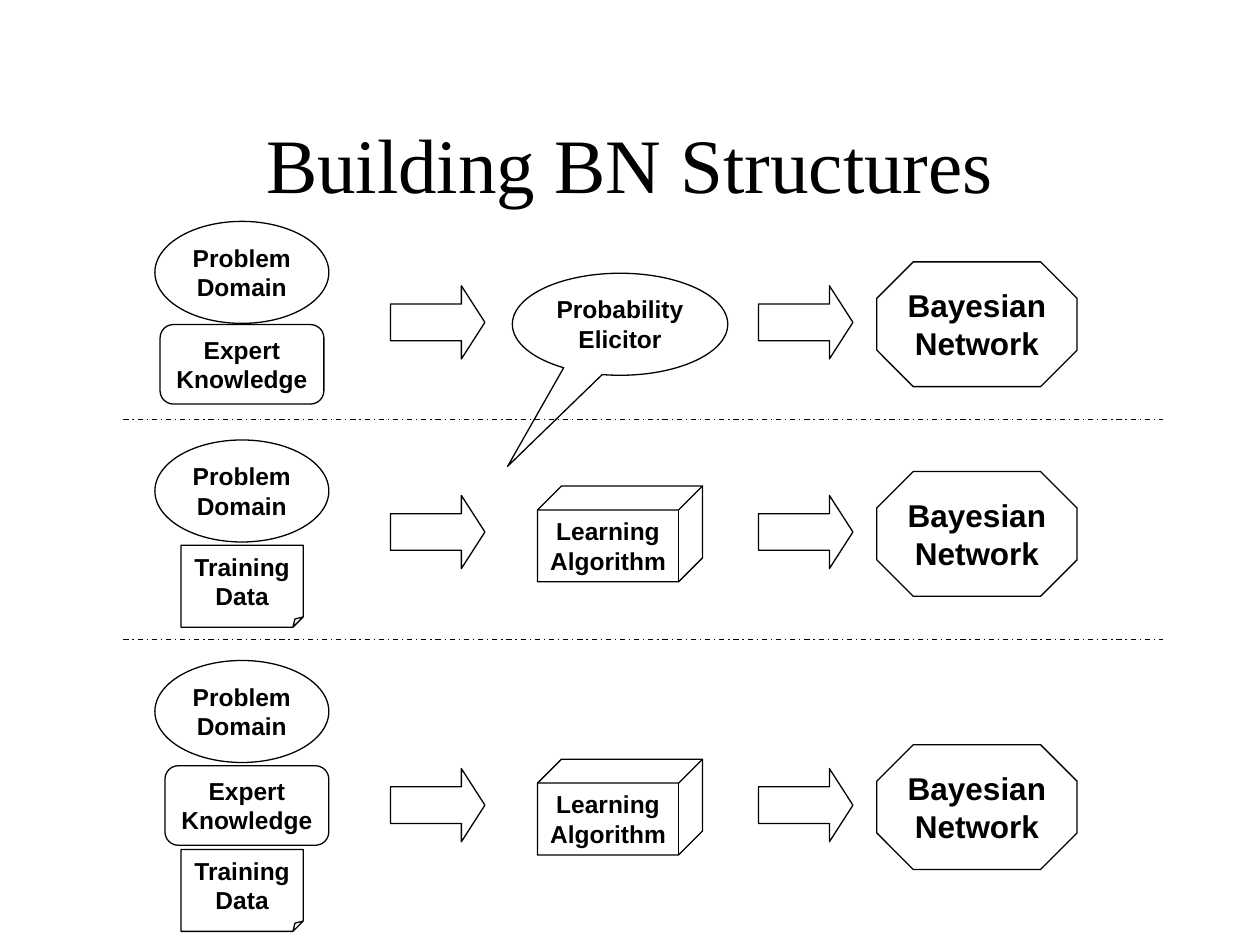
from lxml import etree
from pptx import Presentation
from pptx.dml.color import RGBColor
from pptx.enum.dml import MSO_LINE
from pptx.enum.shapes import MSO_CONNECTOR, MSO_SHAPE
from pptx.enum.text import MSO_ANCHOR, PP_ALIGN
from pptx.oxml.ns import qn
from pptx.util import Pt

INK = "000000"
DOMAIN = (MSO_SHAPE.OVAL, 99.4, 58.3, {}, ("Problem", "Domain"))
EXPERT = (MSO_SHAPE.ROUNDED_RECTANGLE, 93.6, 45.4, {"adj": 16700}, ("Expert", "Knowledge"))
TRAINING = (MSO_SHAPE.FOLDED_CORNER, 69.8, 46.8, {"adj": 12500}, ("Training", "Data"))
ELICITOR = (MSO_SHAPE.OVAL_CALLOUT, 123.1, 58.3, {"adj1": -52200, "adj2": 139200},
            ("Probability", "Elicitor"))
LEARNER = (MSO_SHAPE.CUBE, 94.3, 54.7, {"adj": 25000}, ("Learning", "Algorithm"))
NETWORK = (MSO_SHAPE.OCTAGON, 114.5, 71.3, {"adj": 29300}, ("Bayesian", "Network"))
ARROW = (MSO_SHAPE.RIGHT_ARROW, 54, 41.8, {"adj1": 50000, "adj2": 32100}, ())


def color(value):
    """Turn a hex string into a colour."""
    return RGBColor.from_string(value)


def adjust(box, guides):
    """Set the named shape guides of a preset shape."""
    values = box._element.spPr.find(qn("a:prstGeom")).find(qn("a:avLst"))
    for guide in list(values):
        values.remove(guide)
    for name, value in guides.items():
        etree.SubElement(values, qn("a:gd"), name=name, fmla=f"val {value}")


def write(frame, lines, font, size, bold=False):
    """Fill a text frame with centred lines."""
    for index, line in enumerate(lines):
        para = frame.paragraphs[0] if index == 0 else frame.add_paragraph()
        para.alignment = PP_ALIGN.CENTER
        span = para.add_run()
        span.text = line
        span.font.name = font
        span.font.size = Pt(size)
        span.font.bold = bold
        span.font.color.rgb = color(INK)


def add_node(page, node, left, top, size=14):
    """Place one outlined shape with its label."""
    kind, width, height, guides, lines = node
    box = page.shapes.add_shape(kind, Pt(left), Pt(top), Pt(width), Pt(height))
    adjust(box, guides)
    box.shadow.inherit = False
    box.fill.background()
    box.line.color.rgb = color(INK)
    box.line.width = Pt(0.75)
    box.text_frame.word_wrap = False
    box.text_frame.vertical_anchor = MSO_ANCHOR.TOP
    write(box.text_frame, lines, "Arial", size, bold=True)


def add_title(page, left, top, width, height):
    """Place the slide title."""
    frame = page.shapes.add_textbox(Pt(left), Pt(top), Pt(width), Pt(height)).text_frame
    frame.word_wrap = True
    frame.vertical_anchor = MSO_ANCHOR.MIDDLE
    write(frame, ["Building BN Structures"], "Times New Roman", 44)


def add_divider(page, left, top, width):
    """Draw a dash-dot rule between rows."""
    rule = page.shapes.add_connector(
        MSO_CONNECTOR.STRAIGHT, Pt(left), Pt(top), Pt(left + width), Pt(top))
    rule.line.color.rgb = color(INK)
    rule.line.width = Pt(0.75)
    rule.line.dash_style = MSO_LINE.DASH_DOT
    etree.SubElement(rule._element.spPr, qn("a:effectLst"))


def add_row(page, left, top, axis, inputs, process):
    """Place stacked inputs, a process and a network along a row axis."""
    for node, shift, drop in inputs:
        add_node(page, node, left + shift, top + drop)
    for start in (134.6, 344.9):
        add_node(page, ARROW, left + start, top + axis - ARROW[2] / 2)
    middle = top + axis + 1.1
    add_node(page, process, left + 265.8 - process[1] / 2, middle - process[2] / 2)
    add_node(page, NETWORK, left + 412.5, middle - NETWORK[2] / 2, 18)


def main():
    """Build and save the slide."""
    deck = Presentation()
    deck.slide_width, deck.slide_height = Pt(720), Pt(540)
    page = deck.slides.add_slide(deck.slide_layouts[6])
    add_title(page, 54, 48, 612, 90)
    for top in (239.6, 365.6):
        add_divider(page, 70.5, top, 594)
    rows = (
        (126.5, 57.7, [(DOMAIN, 0, 0), (EXPERT, 3, 59)], ELICITOR),
        (251.4, 52.6, [(DOMAIN, 0, 0), (TRAINING, 15, 60.2)], LEARNER),
        (377.4, 82.7, [(DOMAIN, 0, 0), (EXPERT, 5.8, 60.2), (TRAINING, 15, 108)], LEARNER),
    )
    for top, axis, inputs, process in rows:
        add_row(page, 88.5, top, axis, inputs, process)
    deck.save("out.pptx")


if __name__ == "__main__":
    main()
